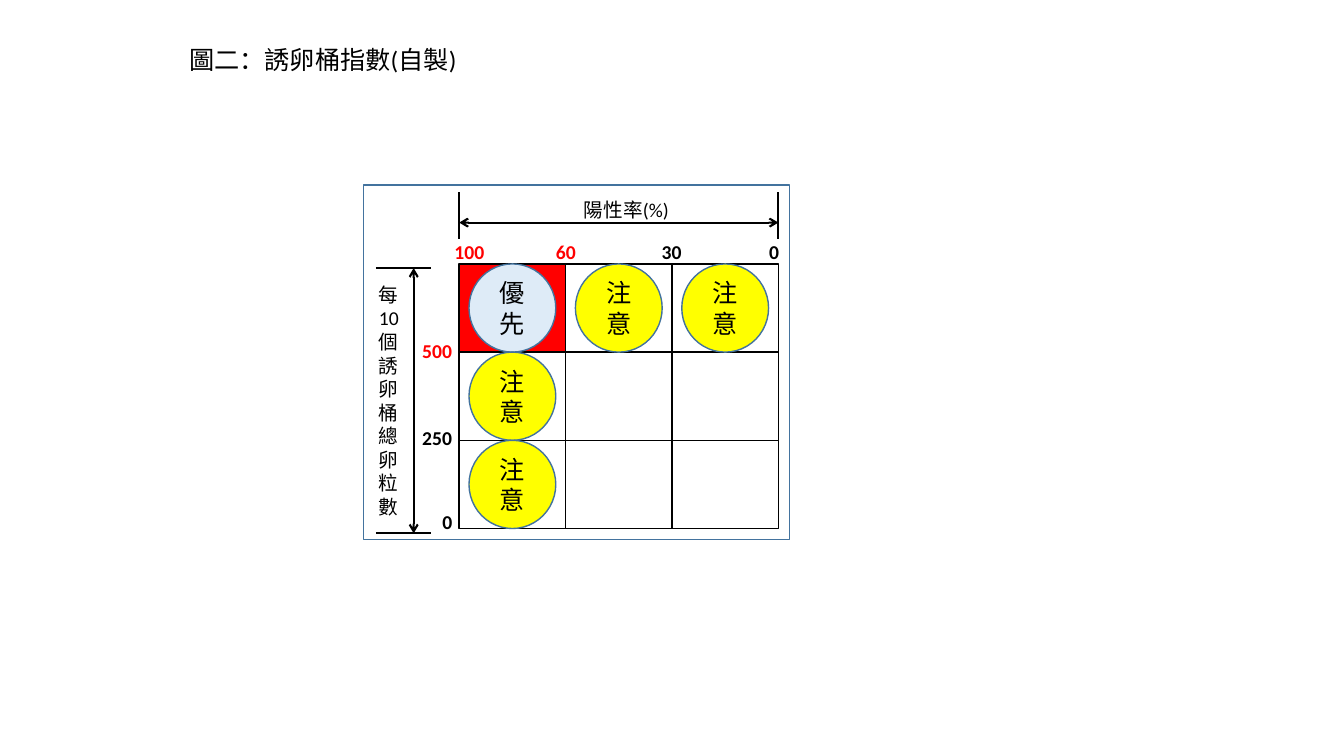
from lxml import etree
from pptx import Presentation
from pptx import util as u
from pptx.dml.color import RGBColor
from pptx.enum import shapes, text
from pptx.oxml.ns import qn

BLACK, RED, BLUE = "000000", "FF0000", "43739E"
WHITE, YELLOW, PALE = "FFFFFF", "FFFF00", "DEEBF7"
COL_W, ROW_H = 76, 63
CIRCLE_W = 62


def rgb(value):
    return RGBColor.from_string(value)


def write(tf, content, size=14, color=BLACK, bold=False, align=None, wrap=False):
    tf.word_wrap = wrap
    for i, line in enumerate(content.split("\n")):
        p = tf.add_paragraph() if i else tf.paragraphs[0]
        p.alignment = align
        r = p.add_run()
        r.text = line
        r.font.name, r.font.size, r.font.bold = "Calibri", u.Pt(size), bold
        r.font.color.rgb = rgb(color)


def add_text(parent, box, content, **fmt):
    sp = parent.add_textbox(*map(u.Pt, box))
    write(sp.text_frame, content, **fmt)


def add_box(parent, kind, box, fill=None, line=BLACK):
    sp = parent.add_shape(kind, *map(u.Pt, box))
    sp.shadow.inherit = False
    if fill:
        sp.fill.solid()
        sp.fill.fore_color.rgb = rgb(fill)
    else:
        sp.fill.background()
    sp.line.color.rgb = rgb(line)
    sp.line.width = u.Pt(1)
    return sp


def add_line(parent, x1, y1, x2, y2, arrows=False):
    sp = parent.add_connector(shapes.MSO_CONNECTOR.STRAIGHT,
                              *map(u.Pt, (x1, y1, x2, y2)))
    sp.line.color.rgb = rgb(BLACK)
    sp.line.width = u.Pt(1.5)
    if arrows:
        ln = sp.line._get_or_add_ln()
        for end in ("a:headEnd", "a:tailEnd"):
            etree.SubElement(ln, qn(end), type="arrow")
    etree.SubElement(sp._element.spPr, qn("a:effectLst"))


def draw_matrix(parent, x, y):
    """Three by three cells; the first row and column carry circles."""
    cells = [(row, col) for row in range(3) for col in range(3)]
    for row, col in cells:
        add_box(parent, shapes.MSO_SHAPE.RECTANGLE,
                (x + col * COL_W, y + row * ROW_H, COL_W, ROW_H),
                RED if row == col == 0 else WHITE)
    for row, col in cells:
        if row and col:
            continue
        first = row == col == 0
        sp = add_box(parent, shapes.MSO_SHAPE.OVAL,
                     (x + col * COL_W + (COL_W - CIRCLE_W) / 2, y + row * ROW_H,
                      CIRCLE_W, ROW_H),
                     PALE if first else YELLOW, BLUE)
        sp.text_frame.vertical_anchor = text.MSO_ANCHOR.MIDDLE
        write(sp.text_frame, "優先" if first else "注意", size=18,
              align=text.PP_ALIGN.CENTER, wrap=True)


def draw_rate_axis(parent, x, y):
    """Horizontal axis above the matrix whose top left corner is x, y."""
    right = x + 3 * COL_W
    for end in (x, right):
        add_line(parent, end, y - 51, end, y - 18)
    add_line(parent, x, y - 29.5, right, y - 29.5, arrows=True)
    add_text(parent, (x + 82, y - 51, 75.5, 24.5), "陽性率(%)", wrap=True)
    # The outer labels are pulled in towards the matrix
    ticks = [("100", RED, 36, 7.5), ("60", RED, 29, 0.5),
             ("30", BLACK, 29, 0), ("0", BLACK, 21.5, -3)]
    for i, (label, color, w, shift) in enumerate(ticks):
        add_text(parent, (x + i * COL_W + shift - w / 2, y - 21, w, 24.5),
                 label, color=color, bold=True)


def draw_egg_axis(parent, x, y):
    """Vertical axis left of the matrix whose top left corner is x, y."""
    top, bottom = y + 3, y + 192.5
    for end in (top, bottom):
        add_line(parent, x - 59.5, end, x - 20, end)
    add_line(parent, x - 32.5, top, x - 32.5, bottom, arrows=True)
    add_text(parent, (x - 64.5, y + 10, 29, 177),
             "\n".join(["每", "10", *"個誘卵桶總卵粒數"]))
    ticks = [("500", RED, 36, 13), ("250", BLACK, 36, 14), ("0", BLACK, 21.5, 17)]
    for i, (label, color, w, rise) in enumerate(ticks, start=1):
        add_text(parent, (x + 2.5 - w, y + i * ROW_H - rise, w, 24.5),
                 label, color=color, bold=True)


def draw_index_chart(s, x, y, w, h):
    parent = s.shapes.add_group_shape().shapes
    grid_x, grid_y = x + 68.5, y + 56.5
    draw_matrix(parent, grid_x, grid_y)
    draw_rate_axis(parent, grid_x, grid_y)
    draw_egg_axis(parent, grid_x, grid_y)
    add_box(parent, shapes.MSO_SHAPE.RECTANGLE, (x, y, w, h), line=BLUE)


def main():
    prs = Presentation()
    prs.slide_width, prs.slide_height = u.Pt(960), u.Pt(540)
    s = prs.slides.add_slide(prs.slide_layouts[6])
    # Title
    add_text(s.shapes, (128, 28, 207.5, 29), "圖二：誘卵桶指數(自製)", size=18, wrap=True)
    # Framed matrix with its two axes
    draw_index_chart(s, 259.5, 132, 304.5, 253.5)
    prs.save("out.pptx")


if __name__ == "__main__":
    main()
